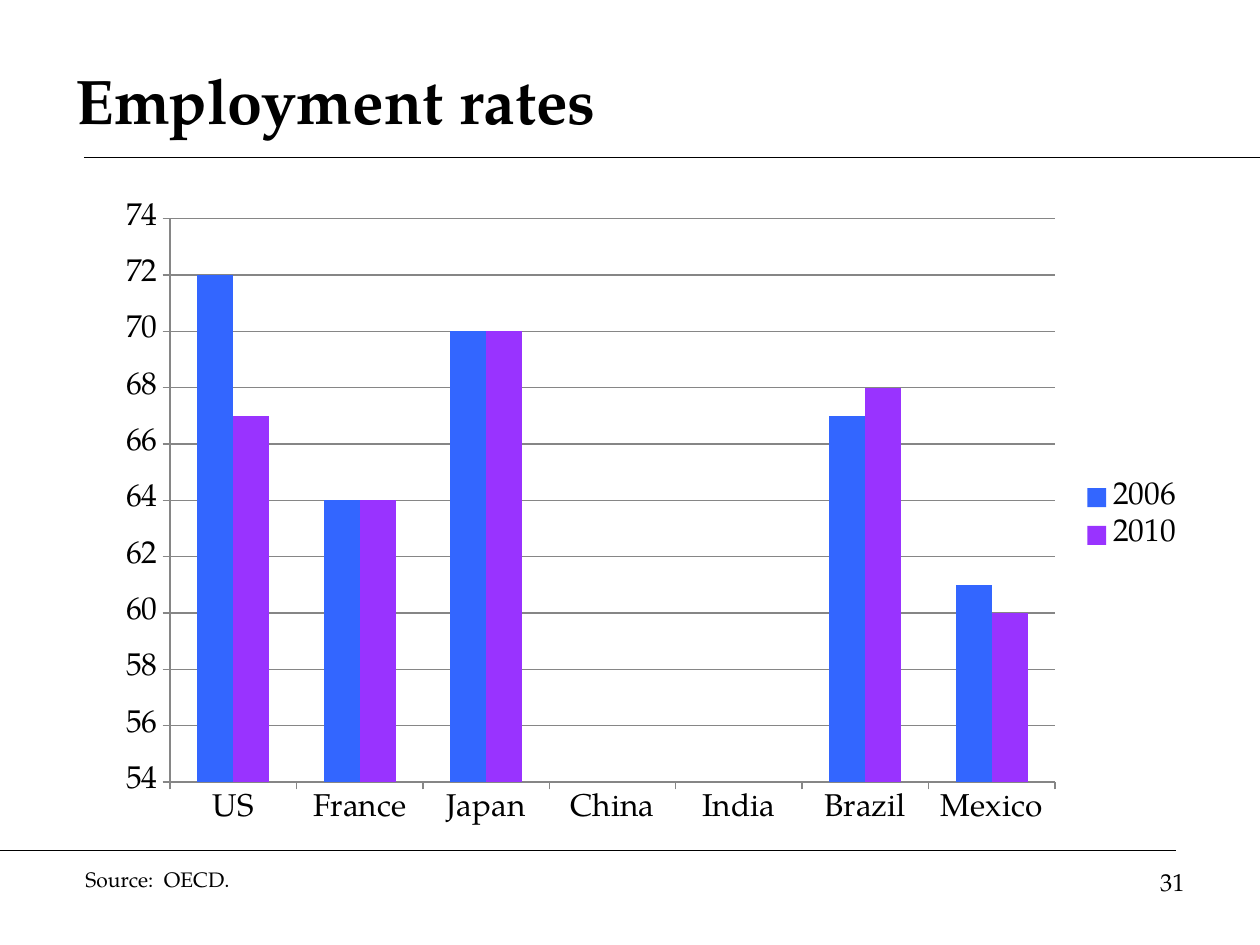
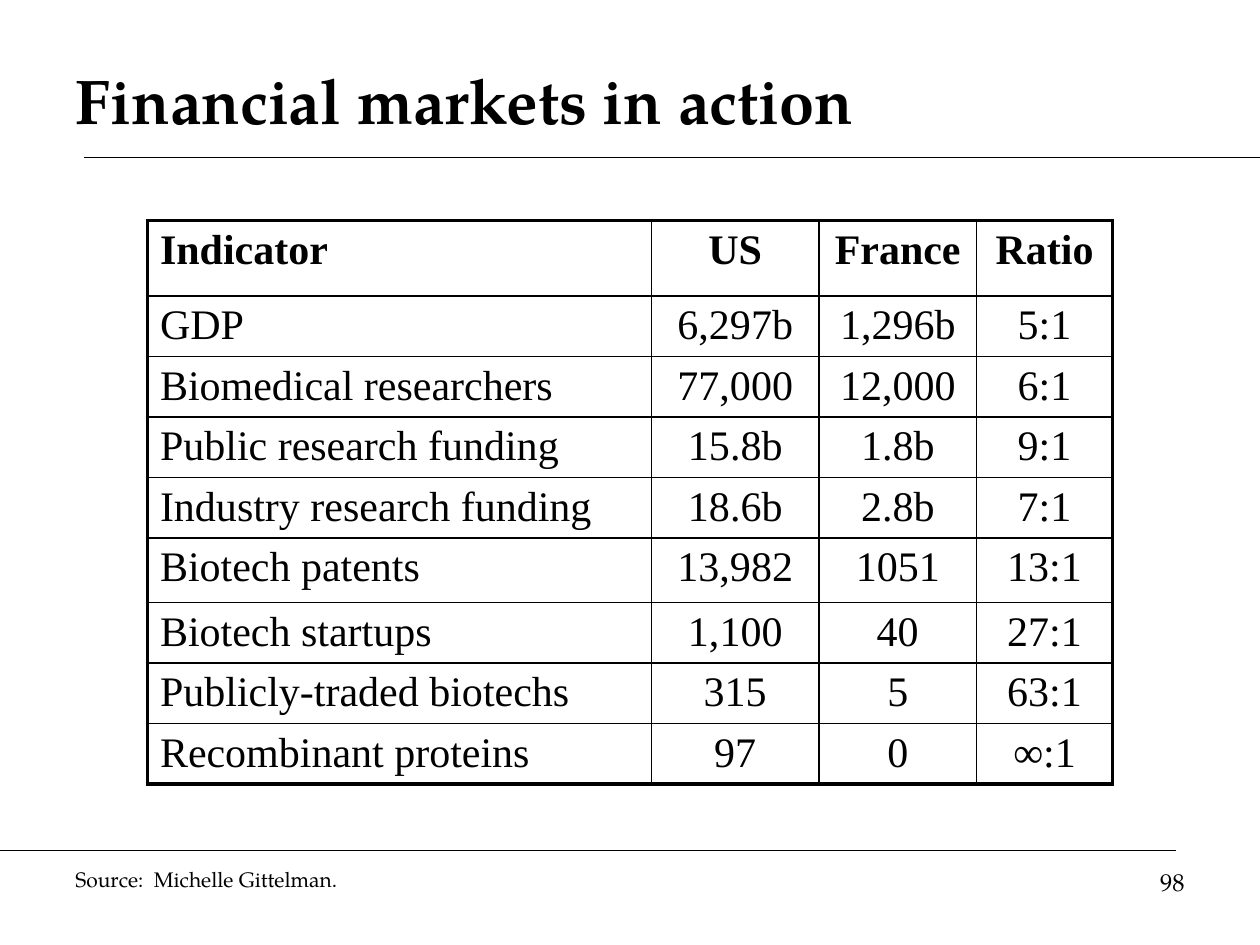
from dataclasses import dataclass

from lxml import etree
from pptx import Presentation, util as u
from pptx.chart.data import CategoryChartData
from pptx.dml.color import RGBColor
from pptx.enum import chart as ch, shapes, text
from pptx.oxml import parse_xml
from pptx.oxml.ns import nsdecls, qn

EMPLOYMENT = {
    "title": "Employment rates",
    "source": "Source:  OECD.",
    "source_box": (0.58, 4.83),
    "page": "31",
    "countries": ["US", "France", "Japan", "China", "India", "Brazil", "Mexico"],
    "rates": {
        "2006": [72, 64, 70, None, None, 67, 61],
        "2010": [67, 64, 70, None, None, 68, 60],
    },
}
FINANCE = {
    "title": "Financial markets in action",
    "source": "Source:  Michelle Gittelman.",
    "source_box": (0.5, 6.42),
    "page": "98",
    "rows": [
        ("Indicator", "US", "France", "Ratio"),
        ("GDP", "6,297b", "1,296b", "5:1"),
        ("Biomedical researchers", "77,000", "12,000", "6:1"),
        ("Public research funding", "15.8b", "1.8b", "9:1"),
        ("Industry research funding", "18.6b", "2.8b", "7:1"),
        ("Biotech patents", "13,982", "1051", "13:1"),
        ("Biotech startups", "1,100", "40", "27:1"),
        ("Publicly-traded biotechs", "315", "5", "63:1"),
        ("Recombinant proteins", "97", "0", "∞:1"),
    ],
}
COLUMN_WIDTHS = [4, 1.33, 1.25, 1.08]
ROW_HEIGHT = 0.47
TALL_ROWS = {0: 0.6, 5: 0.51}


@dataclass(frozen=True)
class Theme:
    font: str = "TeX Gyre Pagella"
    table_font: str = "Times New Roman"
    ink: str = "000000"
    grid: str = "868686"
    series: tuple = ("3366FF", "9933FF")
    title: int = 36
    table: int = 24
    chart: int = 18
    page: int = 14
    source: int = 12
    rule: float = 0.75
    inner: float = 1
    outer: float = 2.25


T = Theme()
WIDTH, HEIGHT = 10, 7.5
RULES = [((WIDTH / 15, HEIGHT / 6), (WIDTH, HEIGHT / 6)),
         ((0, HEIGHT * 0.9), (WIDTH * 14 / 15, HEIGHT * 0.9))]
FOOTER_TOP = 6.83


def rgb(color):
    return RGBColor.from_string(color)


def inches(*lengths):
    return [u.Inches(n) for n in lengths]


def style(font, size, name=T.font, bold=False):
    font.name, font.size, font.bold = name, u.Pt(size), bold
    font.color.rgb = rgb(T.ink)


def add_footer(s, words, left, width, height, size, align):
    tf = s.shapes.add_textbox(*inches(left, FOOTER_TOP, width, height)).text_frame
    tf.word_wrap = True
    p = tf.paragraphs[0]
    p.text, p.alignment = words, align
    style(p.font, size)


def add_slide(prs, content):
    """Add a slide with the shared title, rules, source and page number."""
    s = prs.slides.add_slide(prs.slide_layouts[5])
    for start, end in RULES:
        rule = s.shapes.add_connector(shapes.MSO_CONNECTOR.STRAIGHT, *inches(*start, *end))
        rule.line.color.rgb, rule.line.width = rgb(T.ink), u.Pt(T.rule)
        etree.SubElement(rule.element.spPr, qn("a:effectLst"))

    title = s.shapes.title
    title.left, title.top, title.width, title.height = inches(0.5, 0.33, 9, 0.92)
    tf = title.text_frame
    tf.text = content["title"]
    tf.auto_size = text.MSO_AUTO_SIZE.NONE
    tf.vertical_anchor = text.MSO_ANCHOR.MIDDLE
    p = tf.paragraphs[0]
    p.alignment = text.PP_ALIGN.LEFT
    style(p.font, T.title, bold=True)

    add_footer(s, content["source"], *content["source_box"], 0.3, T.source, text.PP_ALIGN.LEFT)
    add_footer(s, content["page"], 7.17, 2.33, 0.52, T.page, text.PP_ALIGN.RIGHT)
    return s


def place_plot(chart, **shares):
    """Fix the inner plot area as shares (x, y, w, h) of the chart."""
    area = chart.element.find(".//" + qn("c:plotArea"))
    for old in area.findall(qn("c:layout")):
        area.remove(old)
    parts = '<c:layoutTarget val="inner"/><c:xMode val="edge"/><c:yMode val="edge"/>'
    parts += "".join(f'<c:{k} val="{v}"/>' for k, v in shares.items())
    area.insert(0, parse_xml(f'<c:layout {nsdecls("c")}><c:manualLayout>{parts}'
                             "</c:manualLayout></c:layout>"))


def add_rates_chart(s, content):
    data = CategoryChartData()
    data.categories = content["countries"]
    for year, values in content["rates"].items():
        data.add_series(year, values)
    chart = s.shapes.add_chart(ch.XL_CHART_TYPE.COLUMN_CLUSTERED,
                               *inches(0.83, 1.53, 8.67, 5.14), data).chart
    style(chart.font, T.chart)
    chart.has_title = False
    chart.has_legend = True
    chart.legend.position = ch.XL_LEGEND_POSITION.RIGHT
    chart.legend.include_in_layout = False

    plot = chart.plots[0]
    plot.gap_width, plot.overlap, plot.vary_by_categories = 150, 0, False
    for series, color in zip(plot.series, T.series):
        series.format.fill.solid()
        series.format.fill.fore_color.rgb = rgb(color)
        series.invert_if_negative = False

    values = chart.value_axis
    values.minimum_scale, values.maximum_scale, values.major_unit = 54, 74, 2
    values.has_major_gridlines = True
    for axis in (values, chart.category_axis):
        axis.major_tick_mark = ch.XL_TICK_MARK.OUTSIDE
    for part in (values, chart.category_axis, values.major_gridlines):
        part.format.line.color.rgb = rgb(T.grid)
        part.format.line.width = u.Pt(T.rule)
    place_plot(chart, x=0.06, y=0.04, w=0.81, h=0.87)


def set_borders(cell, **widths):
    tc_pr = cell._tc.get_or_add_tcPr()
    for side in "LRTB":
        tc_pr.append(parse_xml(
            f'<a:ln{side} {nsdecls("a")} w="{u.Pt(widths[side])}"><a:solidFill>'
            f'<a:srgbClr val="{T.ink}"/></a:solidFill></a:ln{side}>'))


def add_indicator_table(s, content):
    rows = content["rows"]
    heights = [TALL_ROWS.get(i, ROW_HEIGHT) for i in range(len(rows))]
    last_row, last_col = len(rows) - 1, len(COLUMN_WIDTHS) - 1
    table = s.shapes.add_table(len(rows), len(COLUMN_WIDTHS), *inches(
        1.17, 1.75, sum(COLUMN_WIDTHS), sum(heights))).table
    table.first_row = table.horz_banding = False
    for column, width in zip(table.columns, COLUMN_WIDTHS):
        column.width = u.Inches(width)
    for i, (row, height, words) in enumerate(zip(table.rows, heights, rows)):
        row.height = u.Inches(height)
        for j, (cell, word) in enumerate(zip(row.cells, words)):
            edges = {"L": j == 0, "R": j == last_col, "T": i == 0, "B": i == last_row}
            set_borders(cell, **{k: T.outer if edge else T.inner for k, edge in edges.items()})
            cell.fill.background()
            cell.margin_top, cell.margin_bottom = inches(0.05, 0.03)
            cell.text = word
            p = cell.text_frame.paragraphs[0]
            p.alignment = text.PP_ALIGN.CENTER if j else text.PP_ALIGN.LEFT
            style(p.font, T.table, T.table_font, bold=i == 0)


def main():
    prs = Presentation()
    prs.slide_width, prs.slide_height = inches(WIDTH, HEIGHT)
    add_rates_chart(add_slide(prs, EMPLOYMENT), EMPLOYMENT)
    add_indicator_table(add_slide(prs, FINANCE), FINANCE)
    prs.save("out.pptx")


if __name__ == "__main__":
    main()
